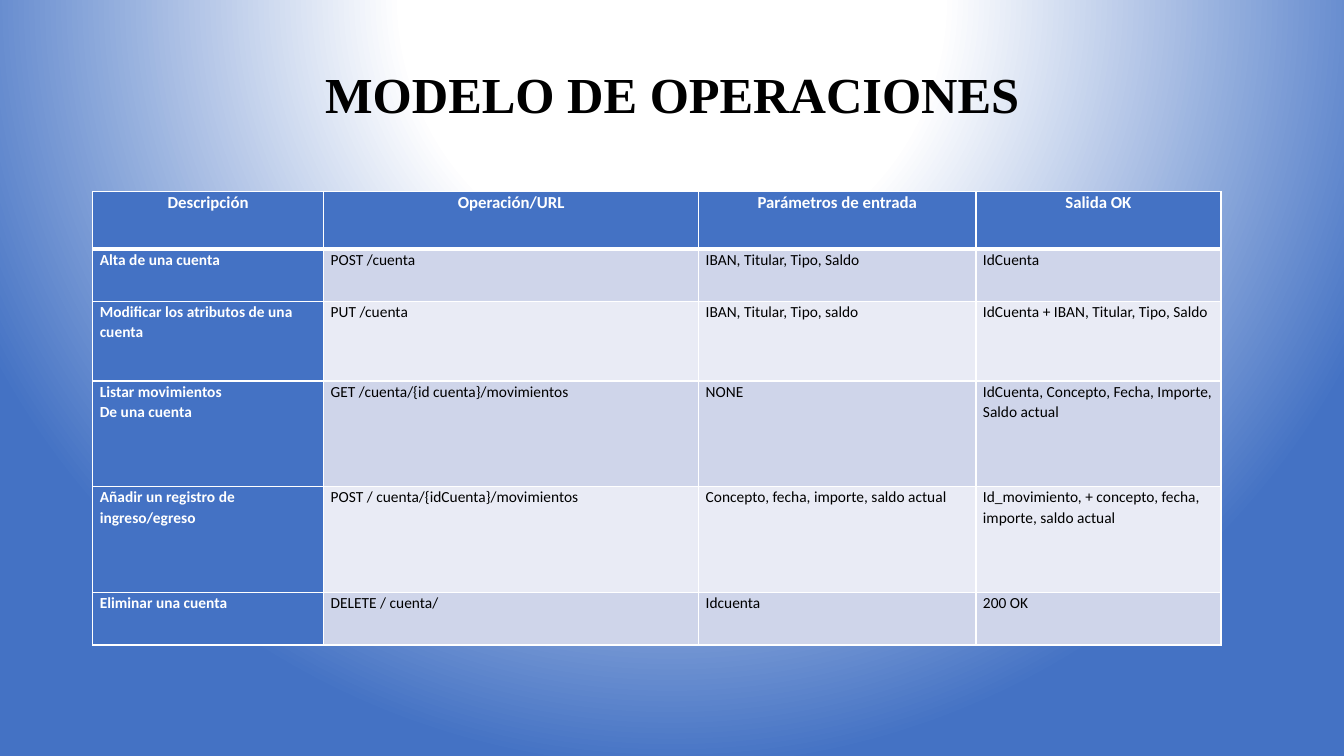
from dataclasses import dataclass

import lxml.etree
import pptx
import pptx.dml.color
import pptx.enum.text
import pptx.oxml.ns
import pptx.util

Inches = pptx.util.Inches
Pt = pptx.util.Pt
Align = pptx.enum.text.PP_ALIGN


@dataclass(frozen=True)
class Theme:
    """Colours, fonts and type sizes of the slide."""
    blue: str = "4472C4"
    white: str = "FFFFFF"
    black: str = "000000"
    bands: tuple = ("CFD5EA", "E9EBF5")
    title_font: str = "Times New Roman"
    table_font: str = "Calibri"
    title_size: int = 36
    header_size: int = 12
    body_size: int = 11
    thin_border: int = 1
    thick_border: int = 3


@dataclass(frozen=True)
class TextStyle:
    """Look of one paragraph."""
    font: str
    size: int
    color: str
    bold: bool
    alignment: Align
    line_spacing: float


@dataclass(frozen=True)
class Operation:
    """One row of the operations table; a line break starts a paragraph."""
    description: str
    url: str
    inputs: str
    output: str
    height: float

    def texts(self) -> tuple:
        """Return the cell texts from left to right."""
        return self.description, self.url, self.inputs, self.output


THEME = Theme()
TITLE = TextStyle(THEME.title_font, THEME.title_size, THEME.black, True, Align.CENTER, 0.9)
HEADER = TextStyle(THEME.table_font, THEME.header_size, THEME.white, True, Align.CENTER, 1.07)
LABEL = TextStyle(THEME.table_font, THEME.body_size, THEME.white, True, Align.LEFT, 1.07)
BODY = TextStyle(THEME.table_font, THEME.body_size, THEME.black, False, Align.LEFT, 1.07)

COLUMN_WIDTHS = (2.29, 3.72, 2.75, 2.43)
ROWS = (
    Operation("Descripción", "Operación/URL", "Parámetros de entrada", "Salida OK", 0.57),
    Operation("Alta de una cuenta", "POST /cuenta",
              "IBAN, Titular, Tipo, Saldo", "IdCuenta", 0.52),
    Operation("Modificar los atributos de una cuenta", "PUT /cuenta",
              "IBAN, Titular, Tipo, saldo", "IdCuenta + IBAN, Titular, Tipo, Saldo", 0.79),
    Operation("Listar movimientos\nDe una cuenta", "GET /cuenta/{id cuenta}/movimientos",
              "NONE", "IdCuenta, Concepto, Fecha, Importe, Saldo actual", 1.05),
    Operation("Añadir un registro de ingreso/egreso", "POST / cuenta/{idCuenta}/movimientos",
              "Concepto, fecha, importe, saldo actual",
              "Id_movimiento, + concepto, fecha, importe, saldo actual", 1.05),
    Operation("Eliminar una cuenta", "DELETE / cuenta/", "Idcuenta", "200 OK", 0.52),
)


def rgb(color: str) -> pptx.dml.color.RGBColor:
    """Turn a hex string into a colour."""
    return pptx.dml.color.RGBColor.from_string(color)


def add_element(parent, tag: str, **attributes):
    """Append a DrawingML element to its parent."""
    return lxml.etree.SubElement(parent, pptx.oxml.ns.qn(f"a:{tag}"), attributes)


def write_text(text_frame, text: str, style: TextStyle) -> None:
    """Write each line of text as a styled paragraph."""
    for index, line in enumerate(text.split("\n")):
        paragraph = text_frame.add_paragraph() if index else text_frame.paragraphs[0]
        paragraph.alignment = style.alignment
        paragraph.line_spacing = style.line_spacing
        run = paragraph.add_run()
        run.text = line
        run.font.name = style.font
        run.font.size = Pt(style.size)
        run.font.bold = style.bold
        run.font.color.rgb = rgb(style.color)


def paint_background(slide) -> None:
    """Fill the background with a round glow centred above the slide."""
    slide.background.fill.gradient()
    gradient = slide.element.find(".//" + pptx.oxml.ns.qn("a:gradFill"))
    for child in list(gradient):
        gradient.remove(child)
    stops = add_element(gradient, "gsLst")
    for percent, color in ((0, THEME.white), (35, THEME.white), (100, THEME.blue)):
        stop = add_element(stops, "gs", pos=str(percent * 1000))
        add_element(stop, "srgbClr", val=color)
    circle = add_element(gradient, "path", path="circle")
    add_element(circle, "fillToRect", l="50000", t="-80000", r="50000", b="180000")


def add_title(slide, text: str) -> None:
    """Add the centred slide title."""
    box = slide.shapes.add_textbox(Inches(0.92), Inches(0.24), Inches(11.5), Inches(1.45))
    box.text_frame.word_wrap = True
    box.text_frame.vertical_anchor = pptx.enum.text.MSO_ANCHOR.MIDDLE
    write_text(box.text_frame, text, TITLE)


def set_borders(cell, top: int, bottom: int) -> None:
    """Draw white borders; top and bottom widths are in points."""
    properties = cell._tc.get_or_add_tcPr()
    widths = {"lnL": THEME.thin_border, "lnR": THEME.thin_border, "lnT": top, "lnB": bottom}
    for tag, width in widths.items():
        line = add_element(properties, tag, w=str(Pt(width)))
        add_element(add_element(line, "solidFill"), "srgbClr", val=THEME.white)


def fill_cell(cell, text: str, row: int, column: int) -> None:
    """Give a cell its borders, fill and text according to its place."""
    thin, thick = THEME.thin_border, THEME.thick_border
    set_borders(cell, thick if row == 1 else thin, thick if row == 0 else thin)
    cell.margin_left = cell.margin_right = Inches(0.07)
    cell.margin_top = cell.margin_bottom = Inches(0)
    is_blue = row == 0 or column == 0
    cell.fill.solid()
    cell.fill.fore_color.rgb = rgb(THEME.blue if is_blue else THEME.bands[(row - 1) % 2])
    style = HEADER if row == 0 else LABEL if column == 0 else BODY
    write_text(cell.text_frame, text, style)


def add_operations_table(slide) -> None:
    """Add the table of account operations."""
    frame = slide.shapes.add_table(
        len(ROWS), len(COLUMN_WIDTHS), Inches(0.92), Inches(1.9),
        Inches(sum(COLUMN_WIDTHS)), Inches(sum(row.height for row in ROWS)))
    table = frame.table
    table.horz_banding = False
    table.first_row = False
    for column, width in zip(table.columns, COLUMN_WIDTHS):
        column.width = Inches(width)
    for row_index, operation in enumerate(ROWS):
        table.rows[row_index].height = Inches(operation.height)
        for column_index, text in enumerate(operation.texts()):
            fill_cell(table.cell(row_index, column_index), text, row_index, column_index)


def main() -> None:
    """Build and save the presentation."""
    presentation = pptx.Presentation()
    presentation.slide_width = Inches(13.33)
    presentation.slide_height = Inches(7.5)
    slide = presentation.slides.add_slide(presentation.slide_layouts[6])
    paint_background(slide)
    add_title(slide, "MODELO DE OPERACIONES")
    add_operations_table(slide)
    presentation.save("out.pptx")


main()
